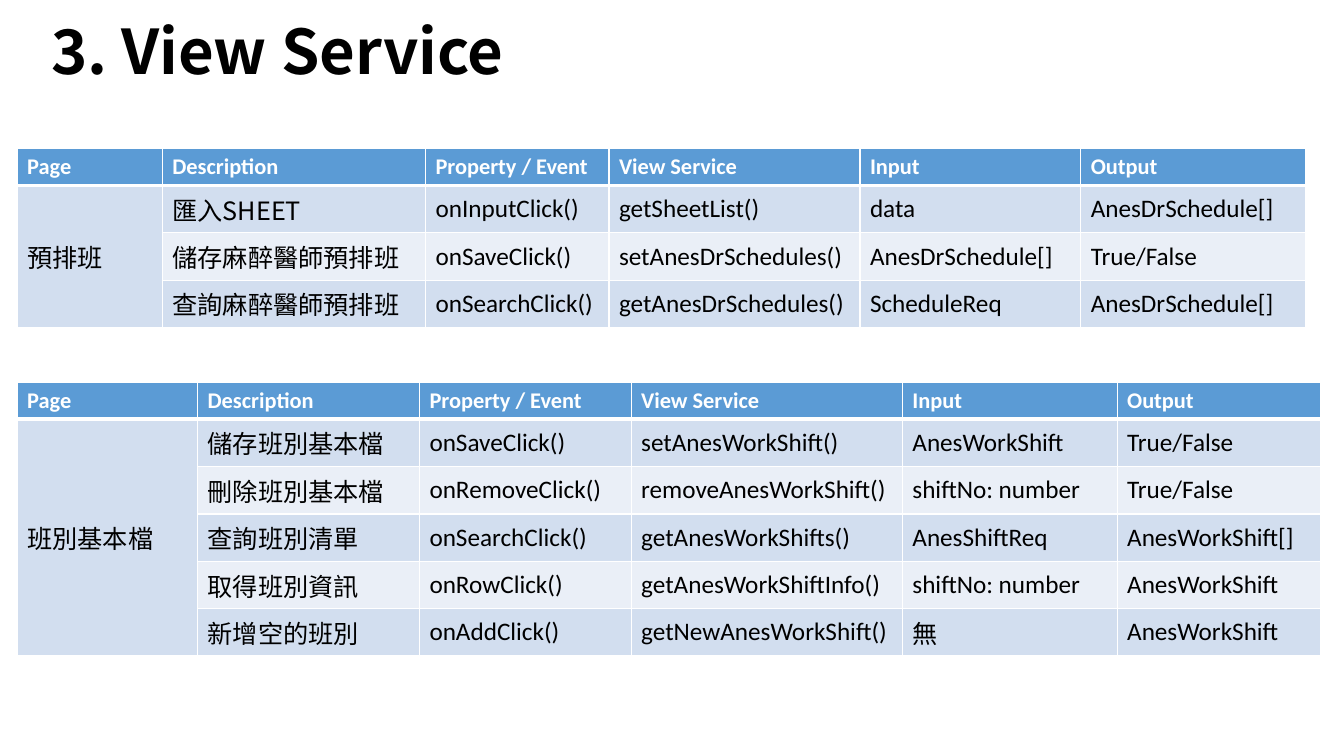
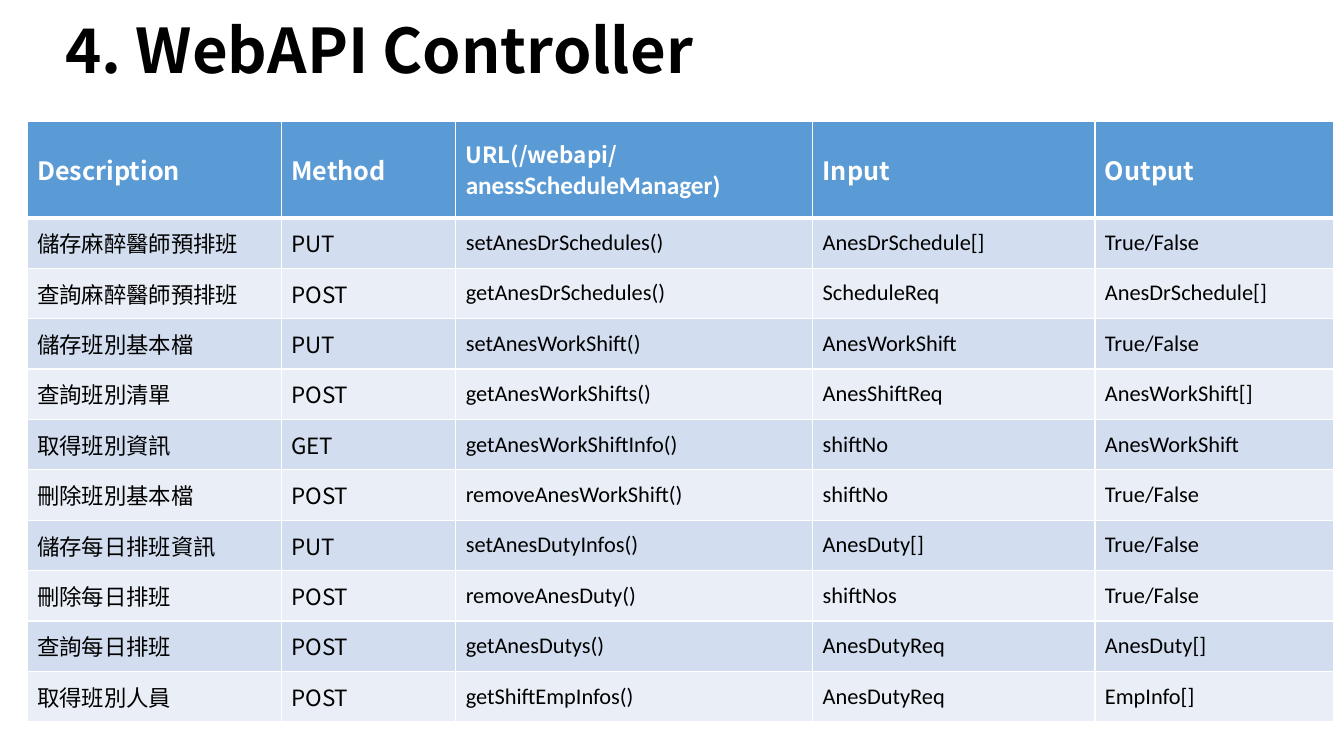
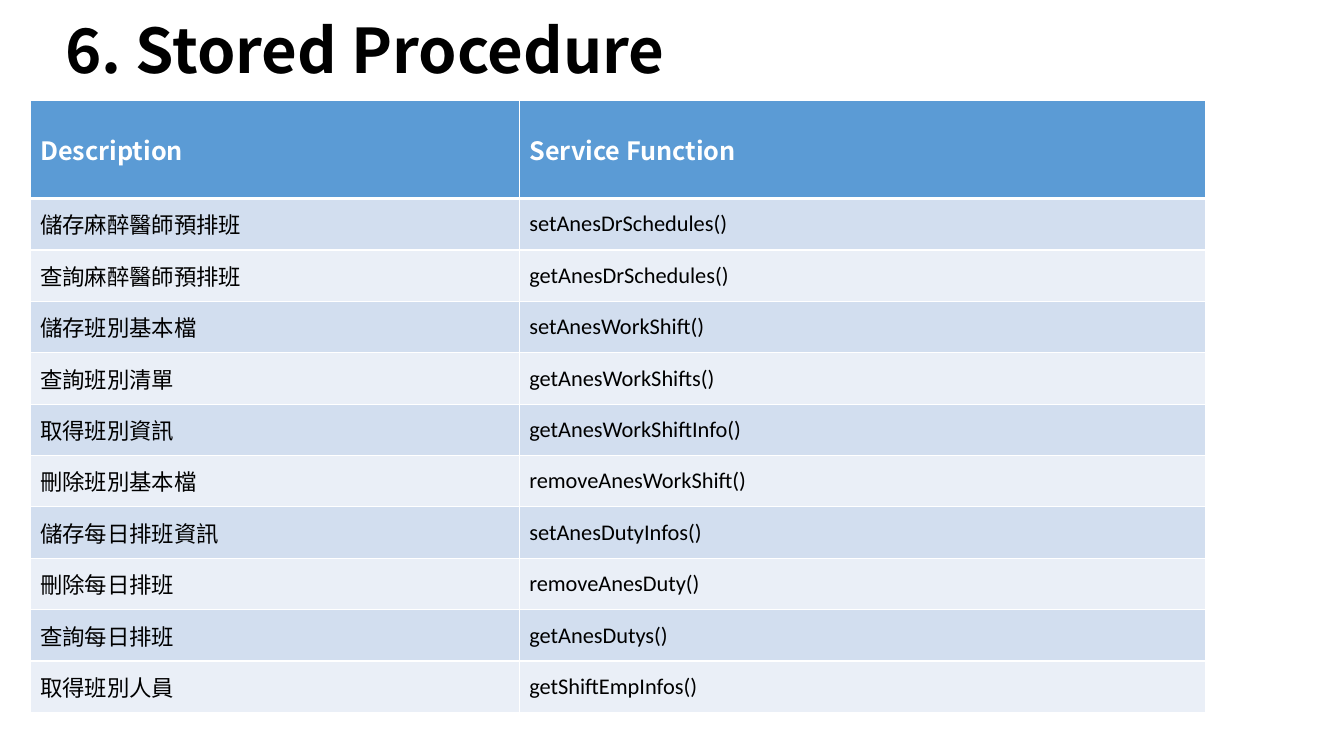
from pptx import Presentation
from pptx.dml.color import RGBColor
from pptx.enum.text import MSO_ANCHOR
from pptx.oxml.ns import qn
from pptx.util import Inches, Pt
from lxml import etree

MIDDLE = MSO_ANCHOR.MIDDLE
LATIN, HAN = "Calibri", "Noto Sans CJK SC"
COLORS = {"text": "000000", "line": "FFFFFF", "head": "5B9BD5",
          "odd": "D2DEEF", "even": "EAEFF7"}
THIN, THICK = 1, 3

deck = Presentation()
deck.slide_width, deck.slide_height = Inches(13.33), Inches(7.5)
BLANK = deck.slide_layouts[6]


def add_run(para, text, size, font, color, bold):
    """Add one styled run, with the Han font for East Asian letters."""
    run = para.add_run()
    run.text = text
    run.font.size, run.font.name, run.font.bold = Pt(size), font, bold
    run.font.color.rgb = RGBColor.from_string(COLORS[color])
    east = etree.SubElement(run.font._element, qn("a:ea"))
    east.set("typeface", HAN)


def add_grid(slide, spot, widths, heights, rows, head, body, han):
    """Add a banded table; head holds (size, font), body a size, han the Han columns."""
    tops = [heights[0]] + [heights[1]] * (len(rows) - 1)
    frame = slide.shapes.add_table(
        len(rows), len(widths), Inches(spot[0]), Inches(spot[1]),
        Inches(sum(widths)), Inches(sum(tops)))
    table = frame.table
    for col, width in zip(table.columns, widths):
        col.width = Inches(width)
    for row, height in zip(table.rows, tops):
        row.height = Inches(height)
    for r, row in enumerate(rows):
        band = "head" if r == 0 else "odd" if r % 2 else "even"
        for c, entry in enumerate(row):
            cell = table.cell(r, c)
            cell.vertical_anchor = MIDDLE
            cell.fill.solid()
            cell.fill.fore_color.rgb = RGBColor.from_string(COLORS[band])
            if r == 0:
                size, font = head
            else:
                size, font = body, HAN if c in han else LATIN
            runs = [(entry, size, font)] if isinstance(entry, str) else entry
            for text, size, font in runs:
                add_run(cell.text_frame.paragraphs[0], text, size, font,
                        "text" if r else "line", r == 0)
            edges = {"L": THIN, "R": THIN, "T": THICK if r == 1 else THIN,
                     "B": THIN if r else THICK}
            props = cell._tc.get_or_add_tcPr()
            for i, (side, weight) in enumerate(edges.items()):
                line = etree.Element(qn("a:ln" + side), w=str(Pt(weight)))
                paint = etree.SubElement(line, qn("a:solidFill"))
                etree.SubElement(paint, qn("a:srgbClr"), val=COLORS["line"])
                props.insert(i, line)
    return table


# Slides with their titles
TITLES = [
    ("3. View Service", (0.41, -0.1, 9.3, 1.28)),
    ("4. WebAPI Controller", (0.55, 0.14, 12.17, 0.78)),
    ("6. Stored Procedure", (0.55, 0.14, 12.17, 0.78)),
]
slides = []
for title, place in TITLES:
    slide = deck.slides.add_slide(BLANK)
    frame = slide.shapes.add_textbox(*map(Inches, place)).text_frame
    frame.word_wrap, frame.vertical_anchor = True, MIDDLE
    para = frame.paragraphs[0]
    para.line_spacing = 0.9
    add_run(para, title, 44, HAN, "text", True)
    slides.append(slide)
view, web, stored = slides

# View services, one table per page
VIEW_HEAD = ["Page", "Description", "Property\u00a0/ Event", "View Service",
             "Input", "Output"]
PAGES = [
    (1.47, [1.44, 2.61, 1.82, 2.49, 2.19, 2.23], "預排班", [
        ["匯入SHEET", "onInputClick()", "getSheetList()", "data",
         "AnesDrSchedule[]"],
        ["儲存麻醉醫師預排班", "onSaveClick()", "setAnesDrSchedules()",
         "AnesDrSchedule[]", "True/False"],
        ["查詢麻醉醫師預排班", "onSearchClick()", "getAnesDrSchedules()",
         "ScheduleReq", "AnesDrSchedule[]"],
    ]),
    (3.79, [1.79, 2.2, 2.1, 2.69, 2.13, 2.02], "班別基本檔", [
        ["儲存班別基本檔", "onSaveClick()", "setAnesWorkShift()",
         "AnesWorkShift", "True/False"],
        ["刪除班別基本檔", "onRemoveClick()", "removeAnesWorkShift()",
         "shiftNo: number", "True/False"],
        ["查詢班別清單", "onSearchClick()", "getAnesWorkShifts()",
         "AnesShiftReq", "AnesWorkShift[]"],
        ["取得班別資訊", "onRowClick()", "getAnesWorkShiftInfo()",
         "shiftNo: number", "AnesWorkShift"],
        ["新增空的班別", "onAddClick()", "getNewAnesWorkShift()", "無",
         "AnesWorkShift"],
    ]),
]
for top, widths, page, events in PAGES:
    rows = [VIEW_HEAD] + [["" if i else page] + event
                          for i, event in enumerate(events)]
    table = add_grid(view, (0.17, top), widths, (0.37, 0.47), rows,
                     (16, LATIN), 18, {0, 1})
    table.cell(1, 0).merge(table.cell(len(events), 0))

# Services, shared by the controller and the stored procedures
CALLS = [
    ["儲存麻醉醫師預排班", "PUT", "setAnesDrSchedules()", "AnesDrSchedule[]",
     "True/False"],
    ["查詢麻醉醫師預排班", "POST", "getAnesDrSchedules()", "ScheduleReq",
     "AnesDrSchedule[]"],
    ["儲存班別基本檔", "PUT", "setAnesWorkShift()", "AnesWorkShift",
     "True/False"],
    ["查詢班別清單", "POST", "getAnesWorkShifts()", "AnesShiftReq",
     "AnesWorkShift[]"],
    ["取得班別資訊", "GET", "getAnesWorkShiftInfo()", "shiftNo",
     "AnesWorkShift"],
    ["刪除班別基本檔", "POST", "removeAnesWorkShift()", "shiftNo",
     "True/False"],
    ["儲存每日排班資訊", "PUT", "setAnesDutyInfos()", "AnesDuty[]",
     "True/False"],
    ["刪除每日排班", "POST", "removeAnesDuty()", "shiftNos", "True/False"],
    ["查詢每日排班", "POST", "getAnesDutys()", "AnesDutyReq", "AnesDuty[]"],
    ["取得班別人員", "POST", "getShiftEmpInfos()", "AnesDutyReq",
     "EmpInfo[]"],
]
URL = [("URL(/webapi/", 16, HAN), ("anessScheduleManager)", 18, LATIN)]
add_grid(web, (0.27, 1.2), [2.52, 1.73, 3.54, 2.8, 2.37], (0.96, 0.5),
         [["Description", "Method", URL, "Input", "Output"]] + CALLS,
         (18, HAN), 16, {0, 1})
add_grid(stored, (0.3, 1), [4.85, 6.81], (0.97, 0.51),
         [["Description", "Service Function"]]
         + [[call[0], call[2]] for call in CALLS],
         (18, HAN), 16, {0})

deck.save("out.pptx")
